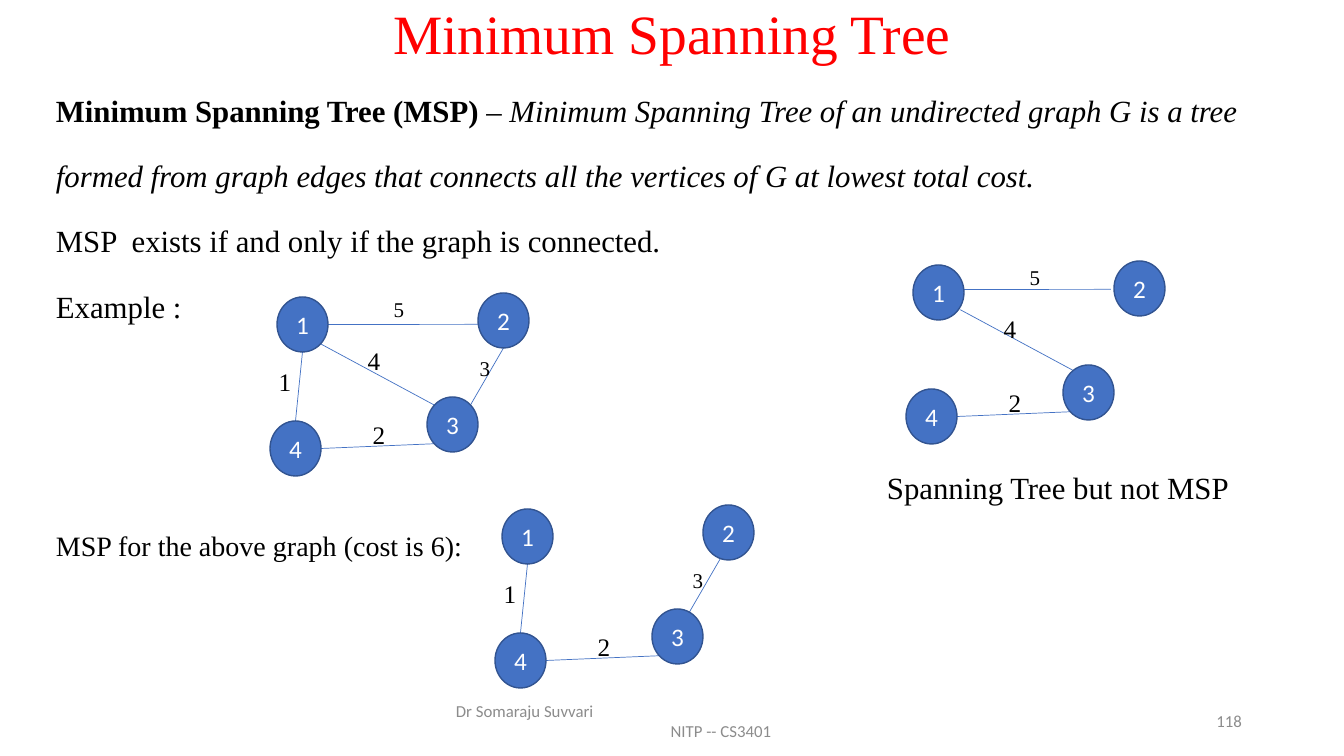
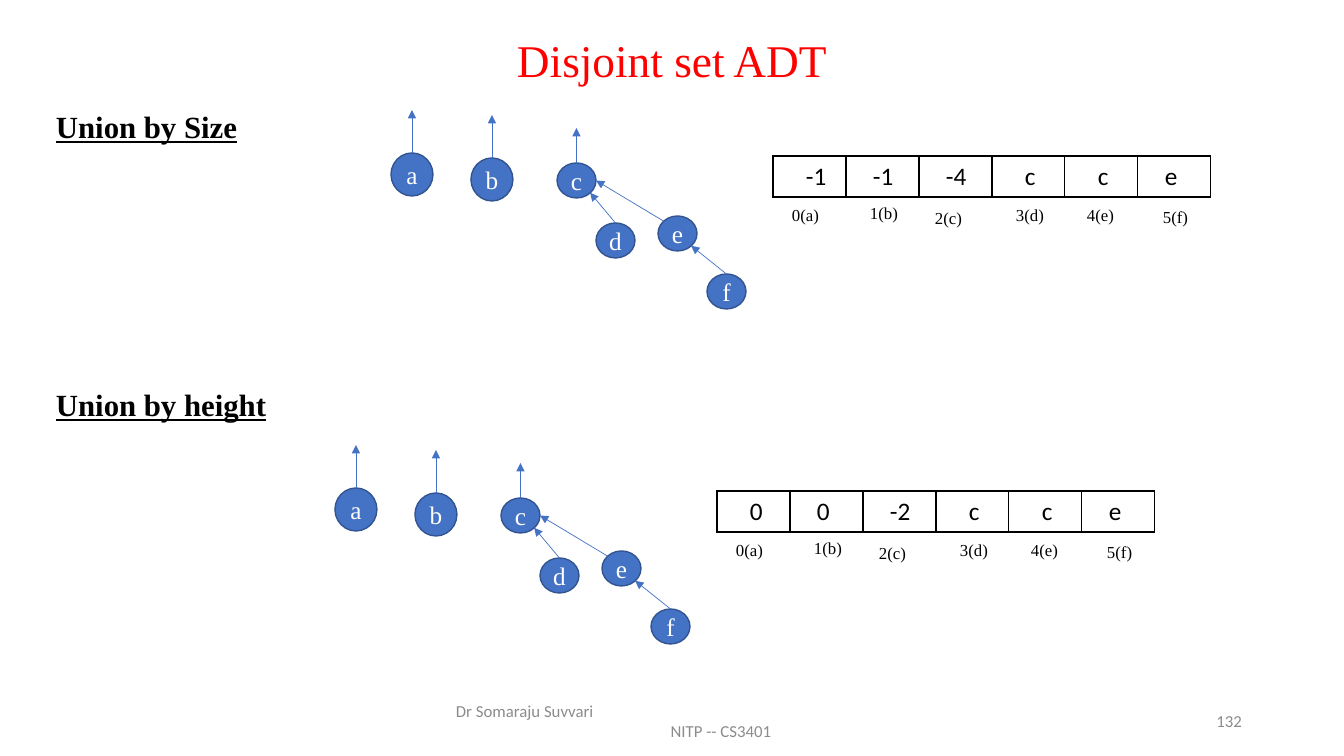
from dataclasses import dataclass

from lxml.etree import SubElement
from pptx import Presentation
from pptx.dml.color import RGBColor
from pptx.enum.shapes import MSO_CONNECTOR, MSO_SHAPE
from pptx.enum.text import MSO_ANCHOR, PP_ALIGN
from pptx.oxml import parse_xml
from pptx.oxml.ns import nsdecls, qn
from pptx.util import Emu, Pt


@dataclass(frozen=True)
class Theme:
    serif: str = "Times New Roman"
    sans: str = "Calibri"
    title: str = "FF0000"
    ink: str = "000000"
    footer: str = "8C8C8C"
    node: str = "4472C4"
    node_line: str = "325491"
    node_text: str = "FFFFFF"
    body_size: float = 22
    note_size: float = 20
    node_size: float = 18
    weight_size: float = 15
    small_size: float = 12
    edge_width: float = 0.5
    outline_width: float = 1


THEME = Theme()
PAGE_WIDTH, PAGE_HEIGHT = 1344, 756
EMU_PER_PX = 12192000 / PAGE_WIDTH

# Points on a node's outline, as shares of its width and height
TOP, BOTTOM, RIGHT = (0.5, 0), (0.5, 1), (1, 0.5)
TOP_LEFT, TOP_RIGHT = (0.15, 0.15), (0.85, 0.15)
BOTTOM_LEFT, BOTTOM_RIGHT = (0.15, 0.85), (0.85, 0.85)
LOW_LEFT = (0, 0.57)

# Weighted graph, measured from the corner of vertex 1
VERTEX_SIZE = (51, 55)
VERTICES = {1: (0, 0), 2: (201, -4), 3: (150, 100), 4: (-7, 124)}
# (from, to): start site, end site, weight, weight size, weight centre
EDGES = {
    (1, 2): (RIGHT, LOW_LEFT, "5", THEME.weight_size, (122, 12)),
    (1, 3): (BOTTOM_RIGHT, TOP_LEFT, "4", THEME.node_size, (97, 63)),
    (2, 3): (BOTTOM, TOP_RIGHT, "3", THEME.weight_size, (208, 71)),
    (1, 4): (BOTTOM, TOP, "1", THEME.node_size, (8, 84)),
    (4, 3): (RIGHT, BOTTOM_LEFT, "2", THEME.node_size, (102, 137)),
}

# Forest of sets, measured from the corner of root a
ROOT_SIZE, SET_SIZE = (42, 43), (39, 35)
SETS = {
    "a": (0, 0, *ROOT_SIZE), "b": (80, 5, *ROOT_SIZE),
    "c": (166, 10, *SET_SIZE), "d": (205, 70, *SET_SIZE),
    "e": (267, 63, *SET_SIZE), "f": (316, 121, *SET_SIZE),
}
ROOTS = {"a": 43, "b": 43, "c": 35}
PARENTS = [("d", TOP, "c", BOTTOM_RIGHT), ("e", TOP_LEFT, "c", RIGHT),
           ("f", TOP, "e", BOTTOM_RIGHT)]
ARRAY_AT, CELL_SIZE = (382, 3), (73, 41)
CELL_INDENTS = [33, 27, 27, 33, 33, 27]
# Array index captions: text, left, middle
CAPTIONS = [("0(a)", 401, 62), ("1(b)", 479, 60), ("2(c)", 544, 65),
            ("3(d)", 625, 62), ("4(e)", 696, 62), ("5(f)", 772, 64)]


def px(length):
    return Emu(round(length * EMU_PER_PX))


def moved(point, shift):
    return point[0] + shift[0], point[1] + shift[1]


def site(box, share):
    left, top, width, height = box
    return left + width * share[0], top + height * share[1]


# Text
def style(para, size, color, font, align=PP_ALIGN.LEFT, bold=None, underline=None):
    para.alignment = align
    para.font.size = Pt(size)
    para.font.name = font
    para.font.color.rgb = RGBColor.from_string(color)
    para.font.bold = bold
    para.font.underline = underline


def add_frame(page, box, anchor=MSO_ANCHOR.MIDDLE, inset=(0, 0)):
    frame = page.shapes.add_textbox(*map(px, box)).text_frame
    frame.word_wrap = True
    frame.vertical_anchor = anchor
    frame.margin_left = frame.margin_right = px(inset[0])
    frame.margin_top = frame.margin_bottom = px(inset[1])
    return frame


def add_text(page, box, text, size, color=THEME.ink, font=THEME.serif, **look):
    para = add_frame(page, box).paragraphs[0]
    para.text = text
    style(para, size, color, font, **look)
    return para


def add_line_label(page, left, middle, width, text, size, **look):
    add_text(page, (left, middle - 20, width, 40), text, size, **look)


# Page parts shared by the slides
def add_page(deck, title, title_top, title_size, number):
    page = deck.slides.add_slide(deck.slide_layouts[6])
    heading = add_text(page, (92, title_top, 1160, 56), title, title_size,
                       THEME.title, align=PP_ALIGN.CENTER)
    heading.line_spacing = 0.9

    author = add_frame(page, (446, 701, 454, 40), inset=(10, 0))
    name, course = author.paragraphs[0], author.add_paragraph()
    name.text, course.text = "Dr Somaraju Suvvari", "NITP -- CS3401"
    course._p.get_or_add_pPr().set("marL", str(px(96)))
    style(name, THEME.small_size, THEME.footer, THEME.sans)
    style(course, THEME.small_size, THEME.footer, THEME.sans, PP_ALIGN.CENTER)
    add_text(page, (950, 701, 292, 40), number, THEME.small_size,
             THEME.footer, THEME.sans, align=PP_ALIGN.RIGHT)
    return page


# Graph parts
def add_node(page, box, text, font):
    node = page.shapes.add_shape(MSO_SHAPE.OVAL, *map(px, box))
    node.shadow.inherit = False
    node.fill.solid()
    node.fill.fore_color.rgb = RGBColor.from_string(THEME.node)
    node.line.color.rgb = RGBColor.from_string(THEME.node_line)
    node.line.width = Pt(THEME.outline_width)
    frame = node.text_frame
    frame.word_wrap = False
    frame.vertical_anchor = MSO_ANCHOR.MIDDLE
    frame.margin_left = frame.margin_right = 0
    frame.margin_top = frame.margin_bottom = 0
    para = frame.paragraphs[0]
    para.text = text
    style(para, THEME.node_size, THEME.node_text, font, PP_ALIGN.CENTER)


def add_edge(page, start, end, arrow=False):
    edge = page.shapes.add_connector(MSO_CONNECTOR.STRAIGHT,
                                     *map(px, (*start, *end)))
    edge.line.color.rgb = RGBColor.from_string(THEME.node)
    edge.line.width = Pt(THEME.edge_width)
    if arrow:
        SubElement(edge.line._get_or_add_ln(), qn("a:tailEnd"), type="triangle")
    SubElement(edge._element.spPr, qn("a:effectLst"))


def add_graph(page, origin, edges, line_shifts=None, weight_shifts=None):
    boxes = {name: (*moved(origin, corner), *VERTEX_SIZE)
             for name, corner in VERTICES.items()}
    for edge in edges:
        start_site, end_site, weight, size, centre = EDGES[edge]
        line_shift = (line_shifts or {}).get(edge, (0, 0))
        add_edge(page, moved(site(boxes[edge[0]], start_site), line_shift),
                 moved(site(boxes[edge[1]], end_site), line_shift))
        weight_shift = (weight_shifts or {}).get(edge, (0, 0))
        x, y = moved(moved(origin, centre), weight_shift)
        add_line_label(page, x - 20, y, 40, weight, size, align=PP_ALIGN.CENTER)
    for name, box in boxes.items():
        add_node(page, box, str(name), THEME.sans)


# Disjoint set parts
def add_array(page, corner, values):
    width, height = CELL_SIZE
    frame = page.shapes.add_table(1, len(values), *map(
        px, (*corner, width * len(values), height)))
    table = frame.table
    table.first_row = table.horz_banding = False
    table.rows[0].height = px(height)
    for index, (value, indent) in enumerate(zip(values, CELL_INDENTS)):
        table.columns[index].width = px(width)
        cell = table.cell(0, index)
        cell.fill.background()
        cell.vertical_anchor = MSO_ANCHOR.MIDDLE
        cell.margin_left, cell.margin_right = px(indent), 0
        cell.margin_top = cell.margin_bottom = px(4)
        para = cell.text_frame.paragraphs[0]
        para.text = value
        style(para, THEME.node_size, THEME.ink, THEME.sans)
        add_borders(cell)


def add_borders(cell):
    properties = cell._tc.get_or_add_tcPr()
    for position, side in enumerate(("lnL", "lnR", "lnT", "lnB")):
        properties.insert(position, parse_xml(
            f'<a:{side} {nsdecls("a")} w="{Pt(THEME.outline_width)}"><a:solidFill>'
            f'<a:srgbClr val="{THEME.ink}"/></a:solidFill></a:{side}>'))


def add_forest(page, heading, heading_middle, origin, values):
    add_line_label(page, 56, heading_middle, 300, heading, THEME.body_size,
                   bold=True, underline=True)
    boxes = {name: (*moved(origin, box[:2]), *box[2:]) for name, box in SETS.items()}
    for name, box in boxes.items():
        add_node(page, box, name, THEME.serif)
    for name, length in ROOTS.items():
        start = site(boxes[name], TOP)
        add_edge(page, start, moved(start, (0, -length)), arrow=True)
    for child, child_site, parent, parent_site in PARENTS:
        add_edge(page, site(boxes[child], child_site),
                 site(boxes[parent], parent_site), arrow=True)
    add_array(page, moved(origin, ARRAY_AT), values)
    for text, left, middle in CAPTIONS:
        x, y = moved(origin, (left, middle))
        add_line_label(page, x, y, 50, text, THEME.small_size)


# Slides
def build_spanning_tree(deck):
    page = add_page(deck, "Minimum Spanning Tree", 8, 39.6, "118")
    body = add_frame(page, (46, 58, 1270, 270), MSO_ANCHOR.TOP, (10, 5))
    paragraphs = [
        [("Minimum Spanning Tree (MSP) ", True, False), ("– ", False, False),
         ("Minimum Spanning Tree of an undirected graph G is a tree formed from "
          "graph edges that connects all the vertices of G at lowest total cost.",
          False, True)],
        [("MSP  exists if and only if the graph is connected.", False, False)],
        [("Example :", False, False)],
    ]
    for index, spans in enumerate(paragraphs):
        para = body.add_paragraph() if index else body.paragraphs[0]
        para.line_spacing = 1.77
        style(para, THEME.body_size, THEME.ink, THEME.serif)
        for text, bold, italic in spans:
            span = para.add_run()
            span.text = text
            span.font.bold, span.font.italic = bold, italic

    add_line_label(page, 887, 487, 400, "Spanning Tree but not MSP", THEME.body_size)
    add_line_label(page, 56, 545, 430, "MSP for the above graph (cost is 6):",
                   THEME.note_size)
    add_graph(page, (277, 297), EDGES)
    add_graph(page, (502, 509), [(1, 4), (4, 3), (2, 3)],
              line_shifts={(2, 3): (-6, -5)}, weight_shifts={(2, 3): (-12, 0)})
    add_graph(page, (913, 265), [(1, 2), (1, 3), (4, 3)],
              line_shifts={(1, 2): (-3, -3), (1, 3): (4, -2)})


def build_disjoint_set(deck):
    page = add_page(deck, "Disjoint set ADT", 35, 32.4, "132")
    add_forest(page, "Union by Size", 126, (391, 153),
               ["-1", "-1", "-4", "c", "c", "e"])
    add_forest(page, "Union by height", 404, (335, 488),
               ["0", "0", "-2", "c", "c", "e"])


def main():
    deck = Presentation()
    deck.slide_width, deck.slide_height = px(PAGE_WIDTH), px(PAGE_HEIGHT)
    build_spanning_tree(deck)
    build_disjoint_set(deck)
    deck.save("out.pptx")


if __name__ == "__main__":
    main()
